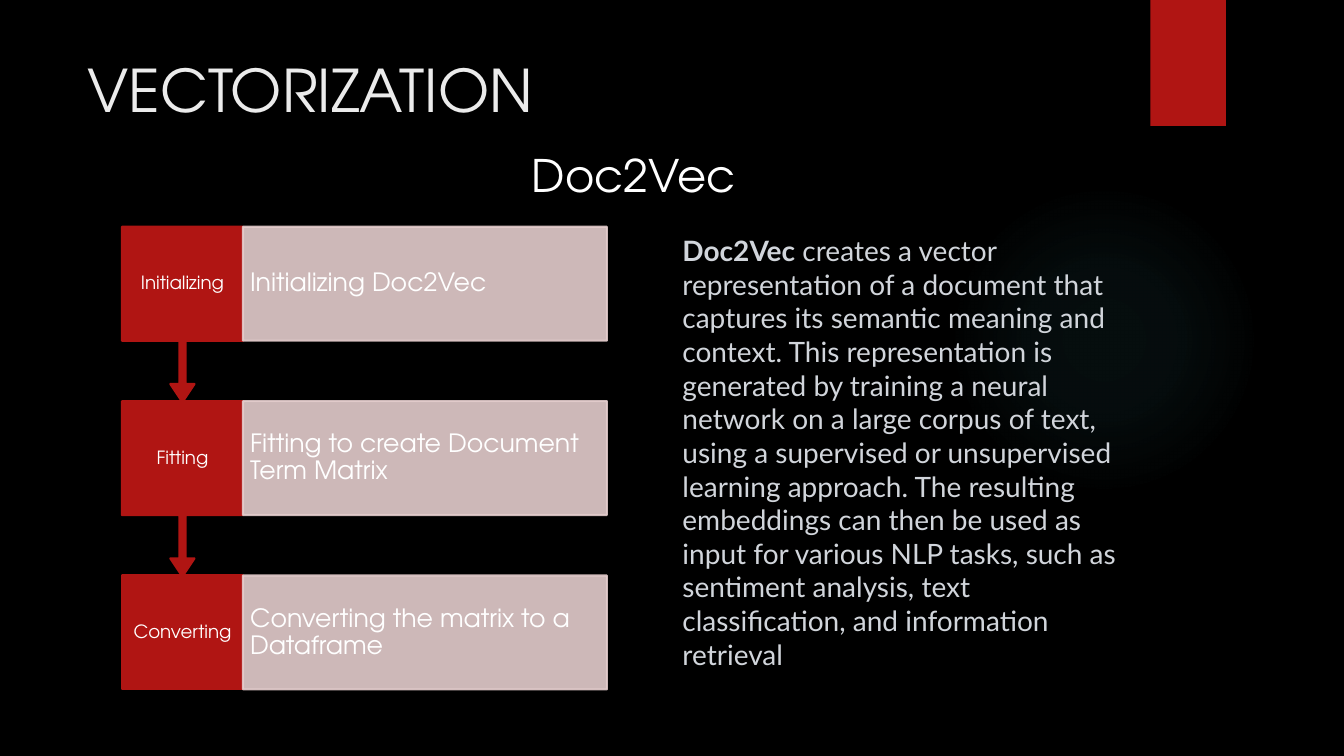
from lxml import etree
from pptx import Presentation
from pptx.dml.color import RGBColor
from pptx.enum.shapes import MSO_SHAPE as Shape
from pptx.enum.text import MSO_ANCHOR as Anchor, PP_ALIGN as Align
from pptx.oxml import parse_xml
from pptx.oxml.ns import nsdecls, qn
from pptx.util import Inches, Pt

# Content
TITLE = "VECTORIZATION"
SUBTITLE = "Doc2Vec"
STEPS = [
    ("Initializing", "Initializing Doc2Vec"),
    ("Fitting", "Fitting to create Document Term Matrix"),
    ("Converting", "Converting the matrix to a Dataframe"),
]
SUMMARY = [
    ("Doc2Vec", True),
    (" creates a vector representation of a document that captures its semantic "
     "meaning and context. This representation is generated by training a neural "
     "network on a large corpus of text, using a supervised or unsupervised learning "
     "approach. The resulting embeddings can then be used as input for various NLP "
     "tasks, such as sentiment analysis, text classification, and information "
     "retrieval", False),
]

# Look
BLACK = RGBColor(0x00, 0x00, 0x00)
WHITE = RGBColor(0xFF, 0xFF, 0xFF)
PALE = RGBColor(0xEB, 0xEB, 0xEB)
GREY = RGBColor(0xD1, 0xD5, 0xDB)
RED = RGBColor(0xB0, 0x15, 0x13)
PINK = RGBColor(0xE4, 0xCC, 0xCC)
TEAL = RGBColor(0x50, 0xB9, 0xC1)
HEAD_FONT, BODY_FONT = "TeX Gyre Adventor", "Lato"
GLOW_STOPS = [(0, 7), (36, 6), (69, 0)]  # position %, opacity %

# Step grid: name column, detail column, rows at an equal pitch
LEFT, TOP = 1.21, 2.25
NAME_W, DETAIL_W = 1.2, 3.61
ROW_H, PITCH = 1.13, 1.73
CALLOUT_H = 1.74
CALLOUT_ADJ = (0.05, 0.1, 0.15, 0.65)

prs = Presentation()
prs.slide_width, prs.slide_height = Inches(13.33), Inches(7.5)
slide = prs.slides.add_slide(prs.slide_layouts[6])
slide.background.fill.solid()
slide.background.fill.fore_color.rgb = BLACK


def add_block(kind, box, color, outlined=False, opacity=None):
    block = slide.shapes.add_shape(kind, *map(Inches, box))
    block.shadow.inherit = False
    block.fill.solid()
    block.fill.fore_color.rgb = color
    if outlined:
        block.line.color.rgb = color
        block.line.width = Pt(1.5)
    else:
        block.line.fill.background()
    if opacity:
        for tint in block._element.spPr.iter(qn("a:srgbClr")):
            etree.SubElement(tint, qn("a:alpha"), val=str(opacity * 1000))
    return block


def write(shape, pieces, font, size, color, align=Align.LEFT, anchor=Anchor.TOP,
          spacing=None, insets=(0.1, 0.05)):
    frame = shape.text_frame
    frame.word_wrap = True
    frame.vertical_anchor = anchor
    frame.margin_left = frame.margin_right = Inches(insets[0])
    frame.margin_top = frame.margin_bottom = Inches(insets[1])
    paragraph = frame.paragraphs[0]
    paragraph.alignment = align
    paragraph.line_spacing = spacing
    for words, bold in pieces:
        run = paragraph.add_run()
        run.text = words
        run.font.name, run.font.size, run.font.bold = font, Pt(size), bold
        run.font.color.rgb = color


def add_text(box, *args, **options):
    write(slide.shapes.add_textbox(*map(Inches, box)), *args, **options)


# Soft glow behind the summary
glow = add_block(Shape.OVAL, (9.41, 1.83, 3.08, 3.08), TEAL)
stops = "".join(
    f'<a:gs pos="{pos * 1000}"><a:srgbClr val="{TEAL}">'
    f'<a:alpha val="{opacity * 1000}"/></a:srgbClr></a:gs>'
    for pos, opacity in GLOW_STOPS)
radial = parse_xml(
    f'<a:gradFill {nsdecls("a")}><a:gsLst>{stops}</a:gsLst><a:path path="circle">'
    '<a:fillToRect l="50000" t="50000" r="50000" b="50000"/></a:path></a:gradFill>')
glow_props = glow._element.spPr
glow_props.replace(glow_props.find(qn("a:solidFill")), radial)

# Red tab and headings
add_block(Shape.RECTANGLE, (11.41, 0, 0.75, 1.25), RED)
add_text((0.77, 0.48, 10.29, 0.94), [(TITLE, False)], HEAD_FONT, 42, PALE)

# Steps, last first so that each arrow lies over the row below
for row, (name, detail) in reversed(list(enumerate(STEPS))):
    y = TOP + row * PITCH
    if row == len(STEPS) - 1:
        label = add_block(Shape.RECTANGLE, (LEFT, y, NAME_W, ROW_H), RED, True)
    else:
        label = add_block(Shape.DOWN_ARROW_CALLOUT, (LEFT, y, NAME_W, CALLOUT_H), RED, True)
        for i, share in enumerate(CALLOUT_ADJ):
            label.adjustments[i] = share
    write(label, [(name, False)], HEAD_FONT, 13, WHITE, Align.CENTER, Anchor.MIDDLE,
          0.9, (0.09, 0.1))
    panel = add_block(Shape.RECTANGLE, (LEFT + NAME_W, y, DETAIL_W, ROW_H), PINK, True, 90)
    write(panel, [(detail, False)], HEAD_FONT, 18, WHITE, Align.LEFT, Anchor.MIDDLE,
          0.9, (0.07, 0.25))

# Summary and subtitle
add_text((6.67, 2.27, 4.65, 4.57), SUMMARY, BODY_FONT, 20, GREY)
add_text((4.23, 1.42, 4.11, 0.64), [(SUBTITLE, False)], HEAD_FONT, 32, WHITE, Align.CENTER)

prs.save("out.pptx")
